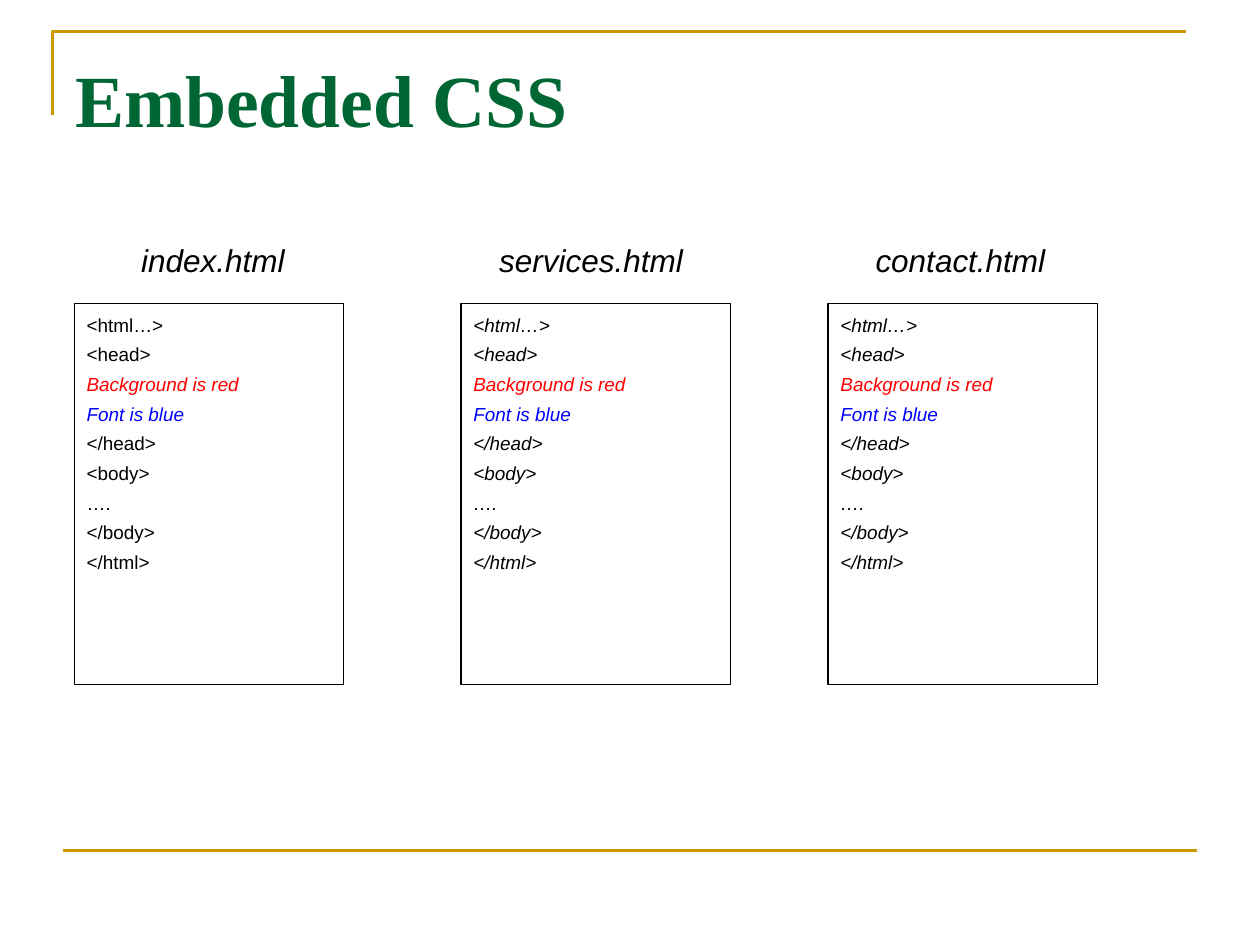
from lxml.etree import SubElement
from pptx import Presentation
from pptx.dml.color import RGBColor
from pptx.enum.shapes import MSO_CONNECTOR, MSO_SHAPE
from pptx.enum.text import MSO_ANCHOR, PP_ALIGN
from pptx.oxml.ns import qn
from pptx.util import Pt

GOLD = RGBColor(0xCC, 0x99, 0x00)
GREEN = RGBColor(0x00, 0x66, 0x33)
BLACK = RGBColor(0x00, 0x00, 0x00)
WHITE = RGBColor(0xFF, 0xFF, 0xFF)
RED = RGBColor(0xFF, 0x00, 0x00)
BLUE = RGBColor(0x00, 0x00, 0xFF)

CODE_LINES = ["<html…>", "<head>", "Background is red", "Font is blue", "</head>",
              "<body>", "….", "</body>", "</html>"]
STYLE_COLORS = {"Background is red": RED, "Font is blue": BLUE}

# file name, label left, label width, page left, markup in italics
PAGES = [
    ("index.html", 73.4, 96.5, 42.4, False),
    ("services.html", 278, 119.5, 263.4, True),
    ("contact.html", 493, 111.6, 473.2, True),
]


class SlideBuilder:
    title_font = "Times New Roman"
    body_font = "Arial"
    rule_width = Pt(1.5)

    def __init__(self, slide):
        self.slide = slide

    def format_run(self, run, size, color, name=body_font, bold=False, italic=False):
        font = run.font
        font.name, font.size = name, Pt(size)
        font.bold, font.italic = bold, italic
        font.color.rgb = color

    def corner(self, left, top, right, bottom):
        """Draw an open outline along the left and top edges."""
        builder = self.slide.shapes.build_freeform(Pt(left), Pt(bottom))
        builder.add_line_segments([(Pt(left), Pt(top)), (Pt(right), Pt(top))], close=False)
        shape = builder.convert_to_shape()
        shape.shadow.inherit = False
        shape.fill.background()
        shape.line.color.rgb = GOLD
        shape.line.width = self.rule_width

    def rule(self, left, right, top):
        connector = self.slide.shapes.add_connector(
            MSO_CONNECTOR.STRAIGHT, Pt(left), Pt(top), Pt(right), Pt(top))
        connector.line.color.rgb = GOLD
        connector.line.width = self.rule_width
        SubElement(connector._element.spPr, qn("a:effectLst"))

    def title(self, text, left, top, width, height):
        box = self.slide.shapes.add_textbox(Pt(left), Pt(top), Pt(width), Pt(height))
        frame = box.text_frame
        frame.word_wrap = True
        frame.margin_top = Pt(9)
        frame.text = text
        self.format_run(frame.paragraphs[0].runs[0], 42, GREEN, self.title_font, bold=True)

    def label(self, text, left, top, width, height):
        box = self.slide.shapes.add_textbox(Pt(left), Pt(top), Pt(width), Pt(height))
        frame = box.text_frame
        frame.word_wrap = False
        frame.text = text
        paragraph = frame.paragraphs[0]
        paragraph.alignment = PP_ALIGN.CENTER
        self.format_run(paragraph.runs[0], 18, BLACK, italic=True)

    def code_page(self, lines, left, top, width, height, italic):
        shape = self.slide.shapes.add_shape(
            MSO_SHAPE.RECTANGLE, Pt(left), Pt(top), Pt(width), Pt(height))
        shape.shadow.inherit = False
        shape.fill.solid()
        shape.fill.fore_color.rgb = WHITE
        shape.line.color.rgb = BLACK
        shape.line.width = Pt(0.75)
        frame = shape.text_frame
        frame.word_wrap = True
        frame.vertical_anchor = MSO_ANCHOR.TOP
        frame.margin_top = Pt(5.5)
        frame.text = "\n".join(lines)
        for index, paragraph in enumerate(frame.paragraphs):
            paragraph.alignment = PP_ALIGN.LEFT
            paragraph.space_before = Pt(4 if index else 0)
            styled = paragraph.text in STYLE_COLORS
            color = STYLE_COLORS.get(paragraph.text, BLACK)
            self.format_run(paragraph.runs[0], 10.8, color, italic=italic or styled)


def main():
    presentation = Presentation()
    presentation.slide_width, presentation.slide_height = Pt(720), Pt(540)
    builder = SlideBuilder(presentation.slides.add_slide(presentation.slide_layouts[6]))

    builder.corner(30, 18, 678, 66)
    builder.rule(36, 684, 486)
    builder.title("Embedded CSS", 36, 21.6, 648, 90)
    for name, label_left, label_width, page_left, italic in PAGES:
        builder.code_page(CODE_LINES, page_left, 173.5, 154, 217.5, italic)
        builder.label(name, label_left, 134, label_width, 29)

    presentation.save("out.pptx")


if __name__ == "__main__":
    main()
